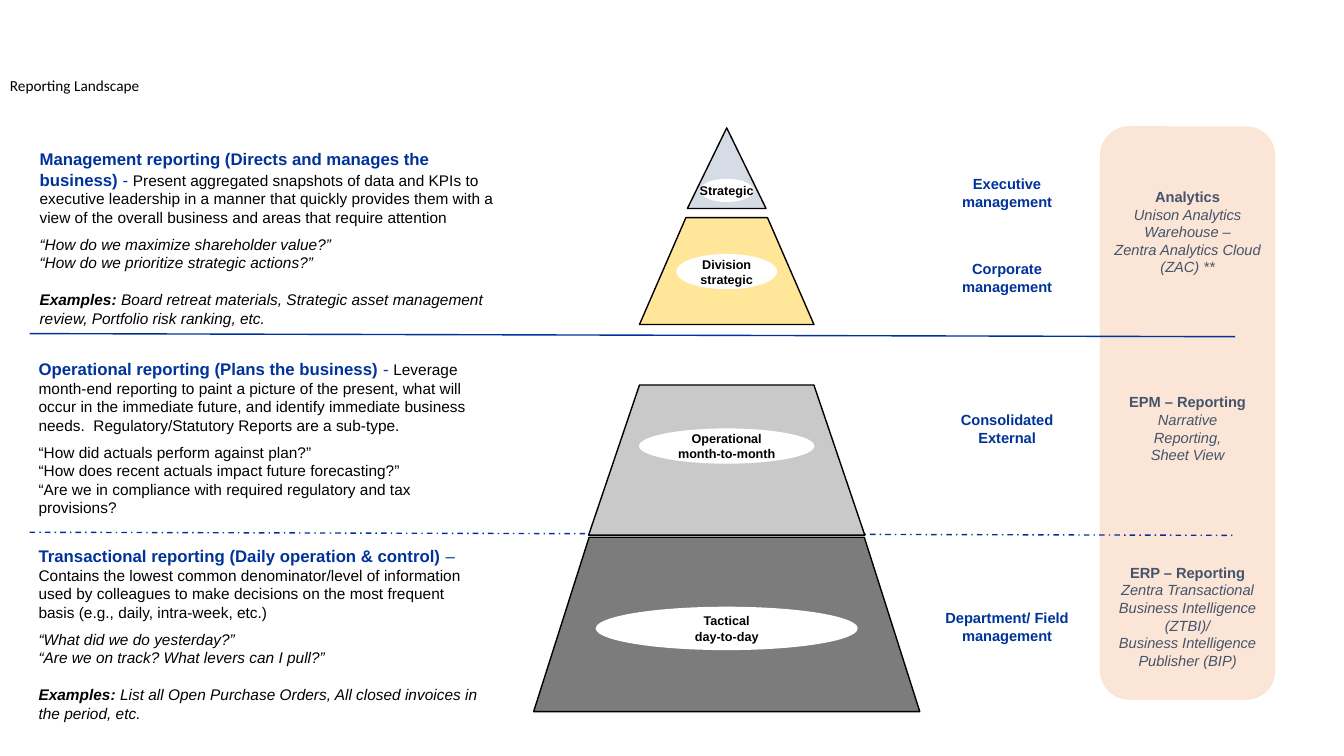
from lxml.etree import SubElement
from pptx import Presentation
from pptx.dml.color import RGBColor
from pptx.enum.dml import MSO_LINE
from pptx.enum.shapes import MSO_CONNECTOR, MSO_SHAPE
from pptx.enum.text import MSO_ANCHOR, PP_ALIGN
from pptx.oxml.ns import qn
from pptx.util import Pt

NAVY, SLATE, BLACK, WHITE = "003399", "44546A", "000000", "FFFFFF"

REPORTS = [
    ((21.2, 103, 342.7, 133.2), "Management reporting (Directs and manages the business) ", "- ",
     "Present aggregated snapshots of data and KPIs to executive leadership in a manner that quickly "
     "provides them with a view of the overall business and areas that require attention",
     ["“How do we maximize shareholder value?”", "“How do we prioritize strategic actions?”"], True,
     "Board retreat materials, Strategic asset management review, Portfolio risk ranking, etc."),
    ((20.5, 252.7, 329, 118), "Operational reporting (Plans the business) ", "- ",
     "Leverage month-end reporting to paint a picture of the present, what will occur in the immediate "
     "future, and identify immediate business needs.  Regulatory/Statutory Reports are a sub-type.",
     ["“How did actuals perform against plan?”", "“How does recent actuals impact future forecasting?”",
      "“Are we in compliance with required regulatory and tax provisions?"], False, ""),
    ((20.5, 386.2, 329, 131.8), "Transactional reporting (Daily operation & control) ", "– ",
     "Contains the lowest common denominator/level of information used by colleagues to make decisions "
     "on the most frequent basis (e.g., daily, intra-week, etc.)",
     ["“What did we do yesterday?”", "“Are we on track? What levers can I pull?”"], True,
     "List all Open Purchase Orders, All closed invoices in the period, etc."),
]

AUDIENCES = [
    (106.3, 62.6, ["Executive", "management"]),
    (167, 62.6, ["Corporate", "management"]),
    (275, 62.6, ["Consolidated", "External"]),
    (416.2, 62.6, ["Department/ Field", "management"]),
]

TOOLS = [
    (124.6, 82, ["Analytics", "Unison Analytics", "Warehouse –", "Zentra Analytics Cloud", "(ZAC) **"]),
    (274.7, 62.6, ["EPM – Reporting", "Narrative", "Reporting,", "Sheet View"]),
    (401.8, 77, ["ERP – Reporting", "Zentra Transactional", "Business Intelligence", "(ZTBI)/",
                 "Business Intelligence", "Publisher (BIP)"]),
]

# top, height, top width, bottom width, fill, label top, label width, label height, label
TIERS = [
    (0, 57.6, 0, 56.2, "D6DCE5", 36.3, 38.2, 16.6, "Strategic"),
    (64.1, 76.3, 58.3, 124.6, "FFE699", 90, 72, 25.2, "Division\nstrategic"),
    (183.6, 107.3, 124.6, 197.3, "C9C9C9", 214.6, 125.3, 25.2, "Operational\nmonth-to-month"),
    (292.4, 124.5, 196.6, 275.8, "7C7C7C", 342, 187.2, 31, "Tactical\nday-to-day"),
]


def color(hex_string):
    return RGBColor.from_string(hex_string)


def points(box):
    return [Pt(length) for length in box]


def style(run, size, ink, bold=False, italic=False, face="Arial"):
    font = run.font
    font.size, font.name, font.bold, font.italic = Pt(size), face, bold, italic
    font.color.rgb = color(ink)


def write(paragraph, text, *look, **face):
    run = paragraph.add_run()
    run.text = text
    style(run, *look, **face)


def text_frame(slide, box, wrap=True, anchor=MSO_ANCHOR.TOP):
    frame = slide.shapes.add_textbox(*points(box)).text_frame
    frame.word_wrap, frame.vertical_anchor = wrap, anchor
    return frame


def paint(shape, fill, outline=None):
    shape.shadow.inherit = False
    shape.fill.solid()
    shape.fill.fore_color.rgb = color(fill)
    if outline:
        shape.line.color.rgb = color(outline)
        shape.line.width = Pt(1)
    else:
        shape.line.fill.background()


def heading(slide, box):
    title = text_frame(slide, box, anchor=MSO_ANCHOR.MIDDLE).paragraphs[0]
    title.line_spacing = 0.9
    write(title, "Reporting Landscape", 10.9, BLACK, face="Calibri")


def report(slide, box, name, dash, summary, questions, italic, examples):
    frame = text_frame(slide, box)
    intro = frame.paragraphs[0]
    intro.space_before, intro.space_after = Pt(12), Pt(6)
    write(intro, name, 12, NAVY, True)
    write(intro, dash, 12, NAVY)
    write(intro, summary, 11, BLACK)
    for question in questions:
        write(frame.add_paragraph(), question, 11, BLACK, False, italic)
    if examples:
        closing = frame.add_paragraph()
        closing.space_before = Pt(13.2)
        write(closing, "Examples: ", 11, BLACK, True, True)
        write(closing, examples, 11, BLACK, False, True)


def divider(slide, box, dash=None):
    left, top, width, drop = box
    rule = slide.shapes.add_connector(
        MSO_CONNECTOR.STRAIGHT, *points((left, top, left + width, top + drop)))
    rule.line.color.rgb = color(NAVY)
    rule.line.width = Pt(1)
    if dash:
        rule.line.dash_style = dash
    SubElement(rule._element.spPr, qn("a:effectLst"))


def label_column(slide, left, width, labels, ink, plain_details):
    for top, height, lines in labels:
        frame = text_frame(slide, (left, top, width, height), False, MSO_ANCHOR.MIDDLE)
        frame.text = "\n".join(lines)
        for index, paragraph in enumerate(frame.paragraphs):
            detail = plain_details and index > 0
            paragraph.alignment = PP_ALIGN.CENTER
            style(paragraph.runs[0], 10.5, ink, not detail, detail)


def tools_panel(slide, box):
    left, top, width, height = box
    paint(slide.shapes.add_shape(MSO_SHAPE.ROUNDED_RECTANGLE, *points(box)), "FBE5D6")
    label_column(slide, left, width, TOOLS, SLATE, True)


def tier_label(slide, box, label):
    oval = slide.shapes.add_shape(MSO_SHAPE.OVAL, *points(box))
    paint(oval, WHITE)
    frame = oval.text_frame
    frame.margin_left = frame.margin_top = frame.margin_right = frame.margin_bottom = 0
    frame.word_wrap, frame.vertical_anchor = False, MSO_ANCHOR.MIDDLE
    frame.text = label
    for paragraph in frame.paragraphs:
        paragraph.alignment = PP_ALIGN.CENTER
        style(paragraph.runs[0], 9, BLACK, True)


def pyramid(slide, box):
    left, top, width, _ = box
    center = left + width / 2
    for offset, height, upper, lower, fill, label_offset, label_width, label_height, label in TIERS:
        tier_top, base = top + offset, top + offset + height
        if upper:
            corners = [(center - lower / 2, base), (center + lower / 2, base),
                       (center + upper / 2, tier_top), (center - upper / 2, tier_top)]
            start, *rest = [points(corner) for corner in corners]
            outline = slide.shapes.build_freeform(*start)
            outline.add_line_segments(rest, close=True)
            tier = outline.convert_to_shape()
        else:
            tier = slide.shapes.add_shape(
                MSO_SHAPE.ISOSCELES_TRIANGLE, *points((center - lower / 2, tier_top, lower, height)))
        paint(tier, fill, BLACK)
        tier_label(slide, (center - label_width / 2, top + label_offset, label_width, label_height), label)


def reporting_landscape(slide):
    heading(slide, (0, 31.2, 778.3, 61.2))
    tools_panel(slide, (785.7, 90.2, 125.3, 409.7))
    for box, *content in REPORTS:
        report(slide, box, *content)
    divider(slide, (21.2, 238.3, 861, 2.2))
    divider(slide, (21.2, 380.2, 861, 2.2), MSO_LINE.DASH_DOT)
    label_column(slide, 665.4, 108, AUDIENCES, NAVY, False)
    pyramid(slide, (381.2, 91.4, 275.8, 416.9))


def main():
    deck = Presentation()
    deck.slide_width, deck.slide_height = Pt(960), Pt(540)
    reporting_landscape(deck.slides.add_slide(deck.slide_layouts[6]))
    deck.save("out.pptx")


if __name__ == "__main__":
    main()
